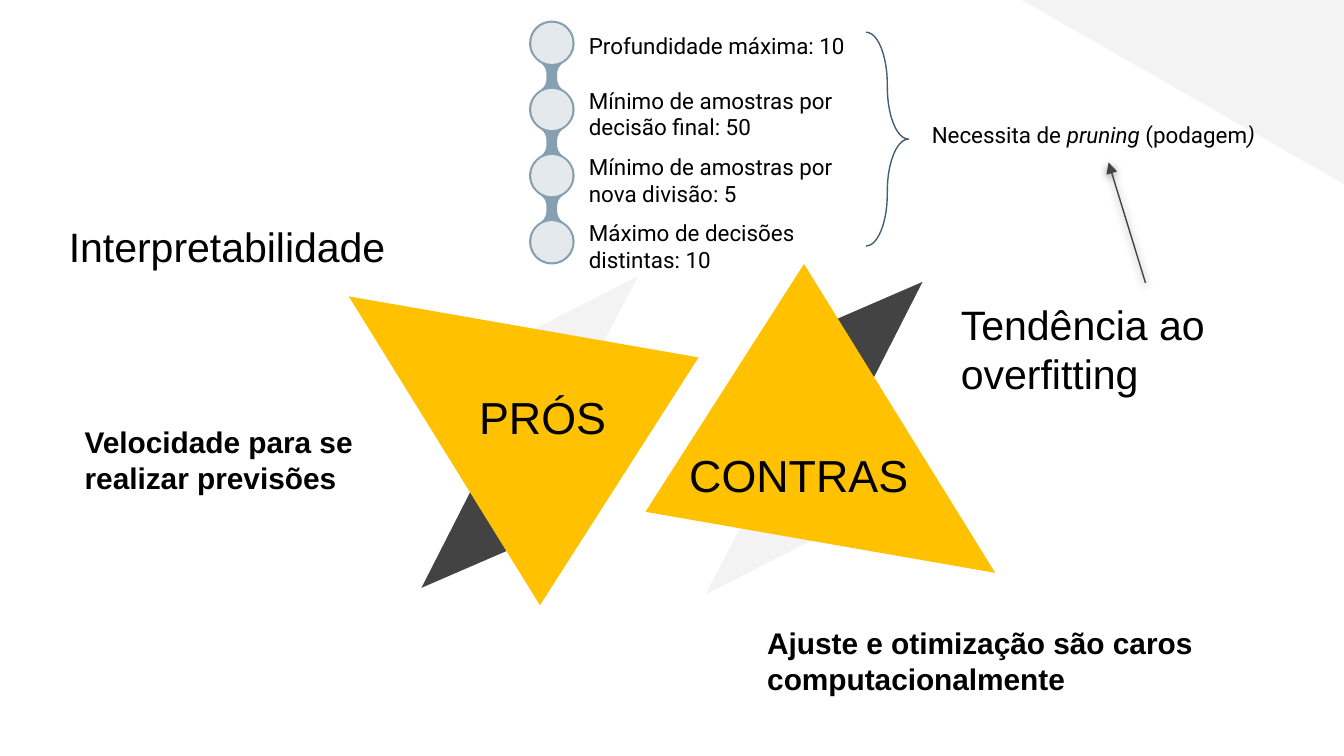
from lxml.etree import SubElement
from pptx import Presentation
from pptx.dml.color import RGBColor
from pptx.enum.shapes import MSO_CONNECTOR, MSO_SHAPE
from pptx.enum.text import MSO_ANCHOR, MSO_AUTO_SIZE, PP_ALIGN
from pptx.oxml import parse_xml
from pptx.oxml.ns import nsdecls, qn
from pptx.util import Cm, Pt

BLACK = RGBColor(0x00, 0x00, 0x00)
DARK = RGBColor(0x43, 0x43, 0x43)
PALE = RGBColor(0xF3, 0xF3, 0xF3)
GOLD = RGBColor(0xFF, 0xC1, 0x00)
STEEL = RGBColor(0x86, 0x9F, 0xB1)
MIST = RGBColor(0xE3, 0xE9, 0xED)
NAVY = RGBColor(0x43, 0x5D, 0x74)

PROS, CONS = "PRÓS", "CONTRAS"
POINTS = [
    ("Interpretabilidade", (1.05, 3.91, 7.49, 1.45), 22, False),
    ("Velocidade para se realizar previsões", (1.35, 7.55, 7.19, 2.06), 16, True),
    ("Ajuste e otimização são caros computacionalmente", (14.25, 11.51, 8.99, 1.91), 16, True),
    ("Tendência ao overfitting", (17.91, 5.36, 7.49, 2.41), 22, False),
]
LIMITS = [
    "Profundidade máxima: 10",
    "Mínimo de amostras por decisão final: 50",
    "Mínimo de amostras por nova divisão: 5",
    "Máximo de decisões distintas: 10",
]
NOTE = [("Necessita de ", False), ("pruning ", True), ("(podagem", False), (")", True)]

PARTS = [
    ((3.48, 1.93), 156.6, 0.67, DARK),
    ((2.72, 1.3), 117.6, 0.33, PALE),
    ((6.71, 5.13), 9.9, 0.32, GOLD),
]
STARS = [
    (0, [(14.48, 5.94), (13.18, 9.68), (12.59, 5.16)]),
    (180, [(7.44, 8.57), (9.49, 5.48), (6.1, 6.14)]),
]
MID, TOP, STEP = 10.43, 0.82, 1.25
RIM, DISC = 0.43, 0.39
CAP = [
    [(0.24, -0.43), (0.43, -0.24), (0.43, 0)],
]
LINK = [
    [(0.43, 0.16), (0.34, 0.3), (0.2, 0.38)],
    [(0.14, 0.42), (0.1, 0.5), (0.1, 0.58)],
    [(0.1, 0.67)],
    [(0.1, 0.75), (0.14, 0.83), (0.2, 0.87)],
    [(0.34, 0.95), (0.43, 1.09), (0.43, 1.25)],
]
TAIL = [
    [(0.43, 0.24), (0.24, 0.43), (0, 0.43)],
]

deck = Presentation()
deck.slide_width, deck.slide_height = Cm(25.4), Cm(14.29)
slide = deck.slides.add_slide(deck.slide_layouts.get_by_name("Comparison"))
shapes = slide.shapes


def cms(box):
    return [Cm(v) for v in box]


def paint(shape, color):
    shape.shadow.inherit = False
    shape.fill.solid()
    shape.fill.fore_color.rgb = color
    shape.line.fill.background()


def draw(kind, box, color, turn=0):
    shape = shapes.add_shape(kind, *cms(box))
    shape.rotation = turn
    paint(shape, color)
    return shape


def frame(shape, anchor):
    text = shape.text_frame
    text.word_wrap = True
    text.auto_size = MSO_AUTO_SIZE.NONE
    text.vertical_anchor = anchor
    text.margin_left = text.margin_right = Cm(0.25)
    text.margin_top = text.margin_bottom = Cm(0.25)
    return text


def style(par, size, face="Arial", bold=False, align=PP_ALIGN.LEFT):
    par.alignment = align
    par.space_before = Pt(0)
    for run in par.runs:
        font = run.font
        font.name, font.size, font.bold = face, Pt(size), bold
        font.color.rgb = BLACK


def write(shape, words, size, anchor=MSO_ANCHOR.TOP, **looks):
    text = frame(shape, anchor)
    text.text = words
    style(text.paragraphs[0], size, **looks)


def place(holder, box):
    holder.left, holder.top, holder.width, holder.height = cms(box)
    tree = holder.element.getparent()
    tree.append(holder.element)


def trace(path, tag, spots):
    step = SubElement(path, qn(tag))
    for x, y in spots:
        SubElement(step, qn("a:pt"), x=str(Cm(x + RIM)), y=str(Cm(y + RIM)))


def link(rows):
    wide, tall = 2 * RIM, rows[-1] - rows[0] + 2 * RIM
    edge, base = Cm(MID - RIM), Cm(rows[0] - RIM)
    pen = shapes.build_freeform(edge, base, scale=1.0)
    pen.add_line_segments([(edge + Cm(wide), base), (edge + Cm(wide), base + Cm(tall))])
    chain = pen.convert_to_shape()
    path = next(chain.element.iter(qn("a:path")))
    for old in list(path):
        path.remove(old)
    span = rows[-1] - rows[0]
    side = list(CAP)
    for row in rows[:-1]:
        side += [[(x, y + row - rows[0]) for x, y in bend] for bend in LINK]
    side += [[(x, y + span) for x, y in bend] for bend in TAIL]
    trace(path, "a:moveTo", [(0, -RIM)])
    for turn in (1, -1):
        for bend in side:
            spots = [(x, y) if turn == 1 else (-x, span - y) for x, y in bend]
            trace(path, "a:cubicBezTo" if len(bend) == 3 else "a:lnTo", spots)
    SubElement(path, qn("a:close"))
    paint(chain, STEEL)


for turn, spots in STARS:
    for spot, (size, angle, peak, color) in zip(spots, PARTS):
        part = draw(MSO_SHAPE.ISOSCELES_TRIANGLE, spot + size, color, angle + turn)
        part.adjustments[0] = peak
draw(MSO_SHAPE.RIGHT_TRIANGLE, (19.31, 0, 6.09, 3.48), PALE, 180)

place(shapes.title, (7.7, 5.85, 5.11, 4.04))
cons = shapes.add_textbox(*cms((12.54, 6.96, 5.11, 4.04)))
for shape, words in [(shapes.title, PROS), (cons, CONS)]:
    write(shape, words, 24, MSO_ANCHOR.MIDDLE, align=PP_ALIGN.CENTER)

bodies = [h for h in slide.placeholders if h.placeholder_format.idx in (1, 2, 3, 4)]
for body, (words, box, size, bold) in zip(bodies, POINTS):
    place(body, box)
    write(body, words, size, MSO_ANCHOR.BOTTOM, bold=bold)
    props = body.text_frame.paragraphs[0]._p.get_or_add_pPr()
    props.set("marL", "0")
    props.set("indent", "0")
    SubElement(props, qn("a:buNone"))

arrow = shapes.add_connector(MSO_CONNECTOR.STRAIGHT, *cms((21.65, 5.35, 20.95, 3.07)))
arrow.line.color.rgb = DARK
arrow.line.width = Pt(0.75)
SubElement(arrow.line._get_or_add_ln(), qn("a:tailEnd"), type="triangle")
arrow.element.spPr.append(parse_xml(
    f'<a:effectLst {nsdecls("a")}><a:outerShdw blurRad="57150" dist="19050" dir="5400000">'
    '<a:srgbClr val="000000"><a:alpha val="50000"/></a:srgbClr></a:outerShdw></a:effectLst>'))

note = frame(shapes.add_textbox(*cms((17.36, 2.04, 7.19, 1.02))), MSO_ANCHOR.TOP)
line = note.paragraphs[0]
for words, slant in NOTE:
    run = line.add_run()
    run.text = words
    run.font.italic = slant
style(line, 12, "Roboto")

rows = [TOP + STEP * i for i in range(len(LIMITS))]
link(rows)
for i, (y, words) in enumerate(zip(rows, LIMITS)):
    draw(MSO_SHAPE.OVAL, (MID - DISC, y - DISC, 2 * DISC, 2 * DISC), MIST)
    rise, tall = (0.68, 1.55) if i else (0.46, 1.02)
    label = shapes.add_textbox(*cms((10.88, y - rise, 6.1, tall)))
    write(label, words, 12, face="Roboto")

brace = shapes.add_shape(MSO_SHAPE.RIGHT_BRACE, *cms((16.37, 0.61, 0.8, 4.04)))
brace.adjustments[0] = 1.24
brace.shadow.inherit = False
brace.fill.background()
brace.line.color.rgb = NAVY
brace.line.width = Pt(0.75)

deck.save("out.pptx")
